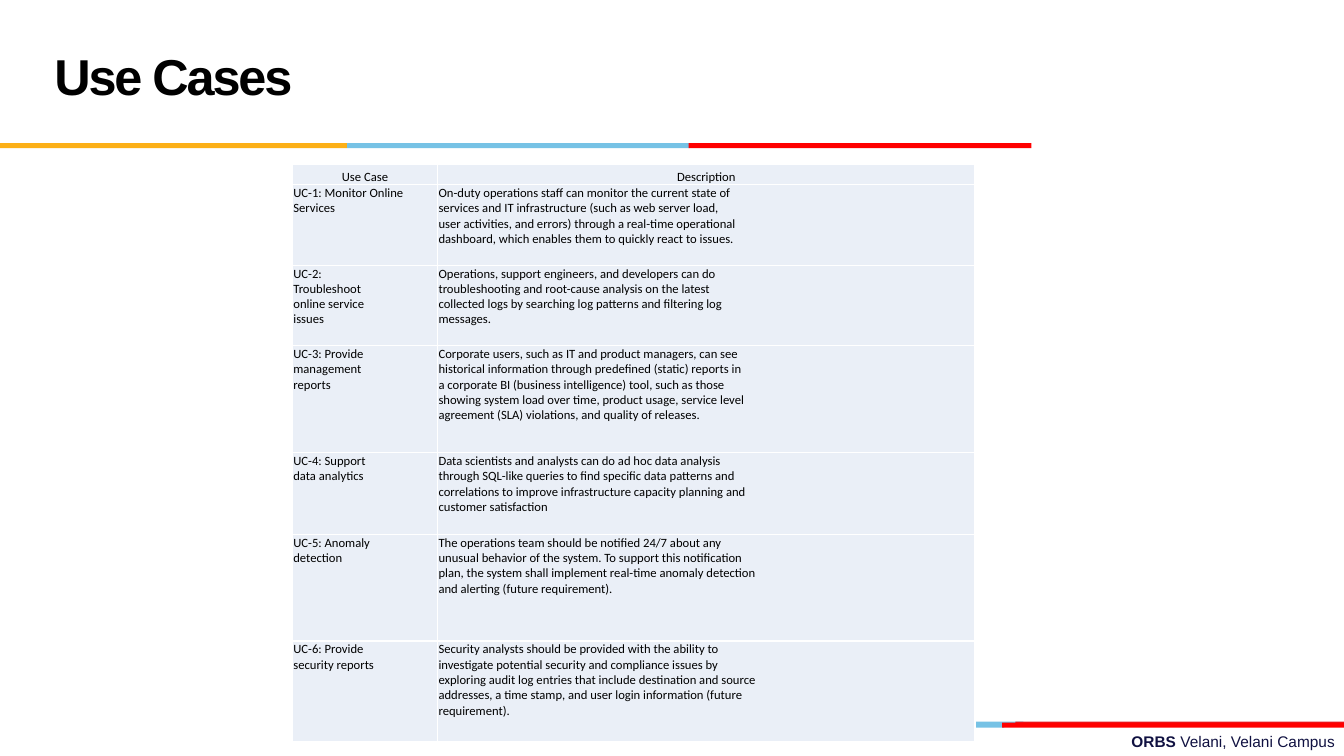
from copy import deepcopy

from lxml import etree
from pptx import Presentation
from pptx.dml.color import RGBColor
from pptx.enum.shapes import MSO_SHAPE
from pptx.enum.text import MSO_ANCHOR, PP_ALIGN
from pptx.oxml.ns import qn
from pptx.util import Inches, Pt

RECT = MSO_SHAPE.RECTANGLE
TOP, MIDDLE, BOTTOM = MSO_ANCHOR.TOP, MSO_ANCHOR.MIDDLE, MSO_ANCHOR.BOTTOM
LEFT, CENTER, RIGHT = PP_ALIGN.LEFT, PP_ALIGN.CENTER, PP_ALIGN.RIGHT

COLORS = {"gold": "FCB017", "sky": "76C2E5", "red": "FF0000", "brick": "E31C24",
          "navy": "101141", "black": "000000", "white": "FFFFFF", "pale": "EAEFF7"}

TITLE = {"name": "Arial", "size": Pt(36), "bold": True}
FOOT = {"name": "Arial", "size": Pt(11)}
BODY = {"name": "Calibri", "size": Pt(9), "bold": False}
INSETS = {"margin_left": Inches(0.01), "margin_right": Inches(0.01),
          "margin_top": Inches(0.01), "margin_bottom": 0}

# Bars as (left, width, color), from back to front
HEAD_BARS = [(3.44, 3.4, "sky"), (0, 3.44, "gold"), (6.83, 3.4, "red")]
BACK_BARS = [(6.75, 3.4, "sky"), (10.07, 3.26, "brick"), (3.04, 3.76, "gold")]
FOOT_BARS = [(6.56, 3.4, "sky"), (3.11, 3.44, "gold"), (9.94, 3.4, "red")]

COLS = [1.44, 5.33]
ROWS = [0.2, 0.8, 0.8, 1.06, 0.81, 1.06, 1]
CASES = [
    ("Use Case", "Description"),
    ("UC-1: Monitor Online Services",
     "On-duty operations staff can monitor the current state of \n"
     "services and IT infrastructure (such as web server load, \n"
     "user activities, and errors) through a real-time operational \n"
     "dashboard, which enables them to quickly react to issues."),
    ("UC-2: \nTroubleshoot \nonline service \nissues",
     "Operations, support engineers, and developers can do \n"
     "troubleshooting and root-cause analysis on the latest \n"
     "collected logs by searching log patterns and filtering log \n"
     "messages."),
    ("UC-3: Provide \nmanagement \nreports",
     "Corporate users, such as IT and product managers, can see \n"
     "historical information through predefined (static) reports in \n"
     "a corporate BI (business intelligence) tool, such as those \n"
     "showing system load over time, product usage, service level \n"
     "agreement (SLA) violations, and quality of releases."),
    ("UC-4: Support \ndata analytics",
     "Data scientists and analysts can do ad hoc data analysis \n"
     "through SQL-like queries to find specific data patterns and \n"
     "correlations to improve infrastructure capacity planning and \n"
     "customer satisfaction"),
    ("UC-5: Anomaly \ndetection",
     "The operations team should be notified 24/7 about any \n"
     "unusual behavior of the system. To support this notification \n"
     "plan, the system shall implement real-time anomaly detection \n"
     "and alerting (future requirement)."),
    ("UC-6: Provide \nsecurity reports",
     "Security analysts should be provided with the ability to \n"
     "investigate potential security and compliance issues by \n"
     "exploring audit log entries that include destination and source \n"
     "addresses, a time stamp, and user login information (future \n"
     "requirement)."),
]


def rgb(name):
    return RGBColor.from_string(COLORS[name])


def put(item, values):
    for key, value in values.items():
        setattr(item, key, value)


def style(run, font, color):
    put(run.font, font)
    run.font.color.rgb = rgb(color)


def add_text(slide, box, anchor):
    frame = slide.shapes.add_textbox(*map(Inches, box)).text_frame
    put(frame, {"word_wrap": True, "vertical_anchor": anchor})
    return frame.paragraphs[0]


def add_bars(slide, top, bars):
    for left, width, color in bars:
        bar = slide.shapes.add_shape(
            RECT, Inches(left), Inches(top), Inches(width), Inches(0.05))
        bar.shadow.inherit = False
        bar.fill.solid()
        bar.fill.fore_color.rgb = rgb(color)
        bar.line.fill.background()


def add_title(slide, box):
    para = add_text(slide, box, MIDDLE)
    para.line_spacing = Pt(36)
    run = para.add_run()
    run.text = "Use Cases"
    style(run, TITLE, "black")
    run.font._element.set("spc", "-150")


def add_footer(slide, box):
    para = add_text(slide, box, TOP)
    para.alignment = RIGHT
    for text, bold in [("ORBS ", True), ("Velani, Velani Campus", False)]:
        run = para.add_run()
        run.text = text
        style(run, {**FOOT, "bold": bold}, "navy")


def add_edges(cell):
    props = cell._tc.get_or_add_tcPr()
    for spot, side in enumerate(["lnL", "lnR", "lnT", "lnB"]):
        edge = etree.Element(qn(f"a:{side}"), w=str(Pt(1)))
        fill = etree.SubElement(edge, qn("a:solidFill"))
        etree.SubElement(fill, qn("a:srgbClr"), val=COLORS["white"])
        props.insert(spot, edge)


def fill_cell(cell, text, head):
    put(cell, {**INSETS, "vertical_anchor": BOTTOM if head else TOP})
    cell.fill.solid()
    cell.fill.fore_color.rgb = rgb("pale")
    add_edges(cell)
    para = cell.text_frame.paragraphs[0]
    para.text = text
    para.alignment = CENTER if head else LEFT
    for run in para.runs:
        style(run, BODY, "black")
    # Line breaks take the text size of the runs
    for gap in para._p.findall(qn("a:br")):
        gap.append(deepcopy(para.runs[0].font._element))


def add_cases(slide, left, top):
    box = map(Inches, (left, top, sum(COLS), sum(ROWS)))
    table = slide.shapes.add_table(len(ROWS), len(COLS), *box).table
    for col, width in zip(table.columns, COLS):
        col.width = Inches(width)
    for i, (row, height) in enumerate(zip(table.rows, ROWS)):
        row.height = Inches(height)
        for cell, text in zip(row.cells, CASES[i]):
            fill_cell(cell, text, i == 0)


def main():
    deck = Presentation()
    put(deck, {"slide_width": Inches(13.33), "slide_height": Inches(7.5)})
    slide = deck.slides.add_slide(deck.slide_layouts[6])
    # Footer and color bars
    add_footer(slide, (4.78, 7.21, 8.56, 0.29))
    add_bars(slide, 7.16, BACK_BARS)
    add_bars(slide, 7.17, FOOT_BARS)
    add_bars(slide, 1.42, HEAD_BARS)
    # Use case table and title
    add_cases(slide, 2.9, 1.63)
    add_title(slide, (0.44, 0.17, 9.22, 1.25))
    deck.save("out.pptx")


if __name__ == "__main__":
    main()
